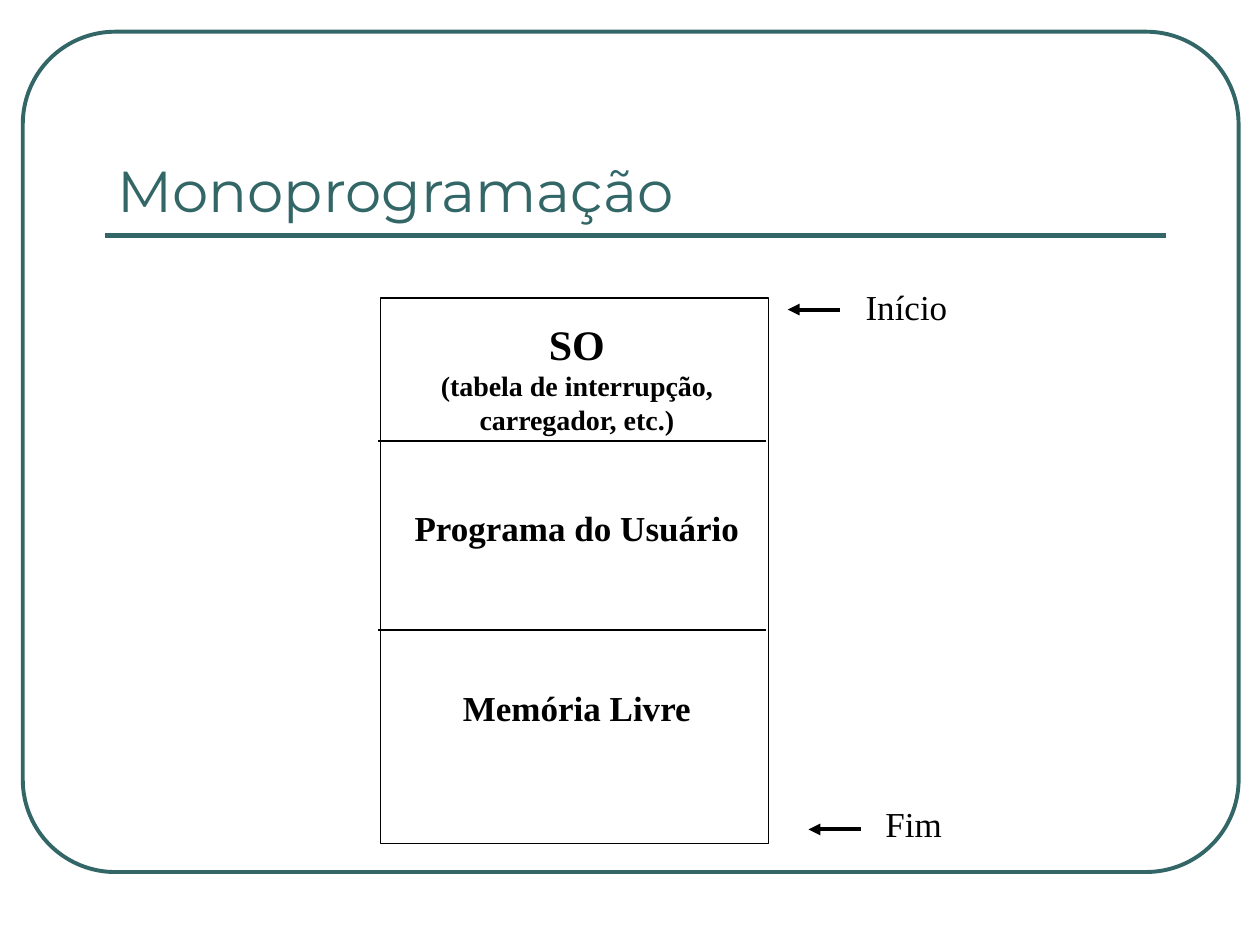
from lxml.etree import SubElement
from pptx import Presentation
from pptx.dml.color import RGBColor
from pptx.enum.shapes import MSO_CONNECTOR, MSO_SHAPE
from pptx.enum.text import MSO_ANCHOR, MSO_AUTO_SIZE, PP_ALIGN
from pptx.oxml.ns import qn
from pptx.util import Cm, Pt

# Content
COLORS = {"teal": "336666", "black": "000000"}
TITLE = "Monoprogramação"
# text, size, space before, line spacing
MEMORY_LINES = [
    ("SO", 24, 0, 0.8),
    ("(tabela de interrupção,", 16, 0, 1),
    ("carregador, etc.)", 16, 0, 1),
    ("Programa do Usuário", 20, 40, 1),
    ("Memória Livre", 20, 79, 1),
]
# text, arrow tip x, arrow y, label left, label top, label width
MARKERS = [
    ("Início", 15.88, 6.24, 17.2, 5.64, 2.16),
    ("Fim", 16.3, 16.72, 17.6, 16.05, 1.65),
]

# Layout in cm
MEMORY = (7.67, 6.01, 7.82, 11)
DIVIDERS = (8.89, 12.7)
DIVIDER_LEFT = 7.62
ARROW_LENGTH = 1.06


def color(name):
    return RGBColor.from_string(COLORS[name])


def add_outline(slide, kind, box, line_color, width):
    outline = slide.shapes.add_shape(kind, *map(Cm, box))
    outline.shadow.inherit = False
    outline.fill.background()
    outline.line.color.rgb = color(line_color)
    outline.line.width = Pt(width)
    return outline


def add_line(slide, x1, x2, y, line_color="black", width=0.75, arrow=False):
    line = slide.shapes.add_connector(
        MSO_CONNECTOR.STRAIGHT, Cm(x1), Cm(y), Cm(x2), Cm(y))
    line.line.color.rgb = color(line_color)
    line.line.width = Pt(width)
    if arrow:
        SubElement(line.line._get_or_add_ln(), qn("a:headEnd"), type="triangle")
    SubElement(line._element.spPr, qn("a:effectLst"))


def write(paragraph, text, size, font="Times New Roman", font_color="black",
          bold=False, align=PP_ALIGN.LEFT, before=0, spacing=1):
    paragraph.alignment = align
    paragraph.space_before = Pt(before)
    paragraph.line_spacing = spacing
    run = paragraph.add_run()
    run.text = text
    run.font.name = font
    run.font.size = Pt(size)
    run.font.bold = bold
    run.font.color.rgb = color(font_color)


def add_text_frame(slide, *box):
    frame = slide.shapes.add_textbox(*map(Cm, box)).text_frame
    frame.word_wrap = False
    frame.auto_size = MSO_AUTO_SIZE.SHAPE_TO_FIT_TEXT
    return frame


def main():
    deck = Presentation()
    deck.slide_width, deck.slide_height = Cm(25.4), Cm(19.05)
    slide = deck.slides.add_slide(deck.slide_layouts[5])

    # Frame, title and rule
    frame = add_outline(slide, MSO_SHAPE.ROUNDED_RECTANGLE,
                        (0.46, 0.64, 24.51, 16.94), "teal", 2.25)
    frame.adjustments[0] = 0.11
    title = slide.shapes.title
    title.left, title.top, title.width, title.height = map(
        Cm, (2.11, 1.47, 21.39, 3.18))
    title.text_frame.vertical_anchor = MSO_ANCHOR.BOTTOM
    write(title.text_frame.paragraphs[0], TITLE, 33,
          font="Montserrat", font_color="teal")
    add_line(slide, 2.11, 23.5, 4.75, "teal", 3)

    # Memory block and its sections
    add_outline(slide, MSO_SHAPE.RECTANGLE, MEMORY, "black", 0.75)
    sections = add_text_frame(slide, 8.1, 6.5, 7.06, 9.45)
    for index, (text, size, before, spacing) in enumerate(MEMORY_LINES):
        paragraph = sections.add_paragraph() if index else sections.paragraphs[0]
        write(paragraph, text, size, bold=True, align=PP_ALIGN.CENTER,
              before=before, spacing=spacing)
    for y in DIVIDERS:
        add_line(slide, DIVIDER_LEFT, DIVIDER_LEFT + MEMORY[2], y)

    # Start and end markers
    for text, tip, y, left, top, width in MARKERS:
        add_line(slide, tip, tip + ARROW_LENGTH, y, width=2.25, arrow=True)
        label = add_text_frame(slide, left, top, width, 1.09)
        write(label.paragraphs[0], text, 20)

    deck.save("out.pptx")


if __name__ == "__main__":
    main()
